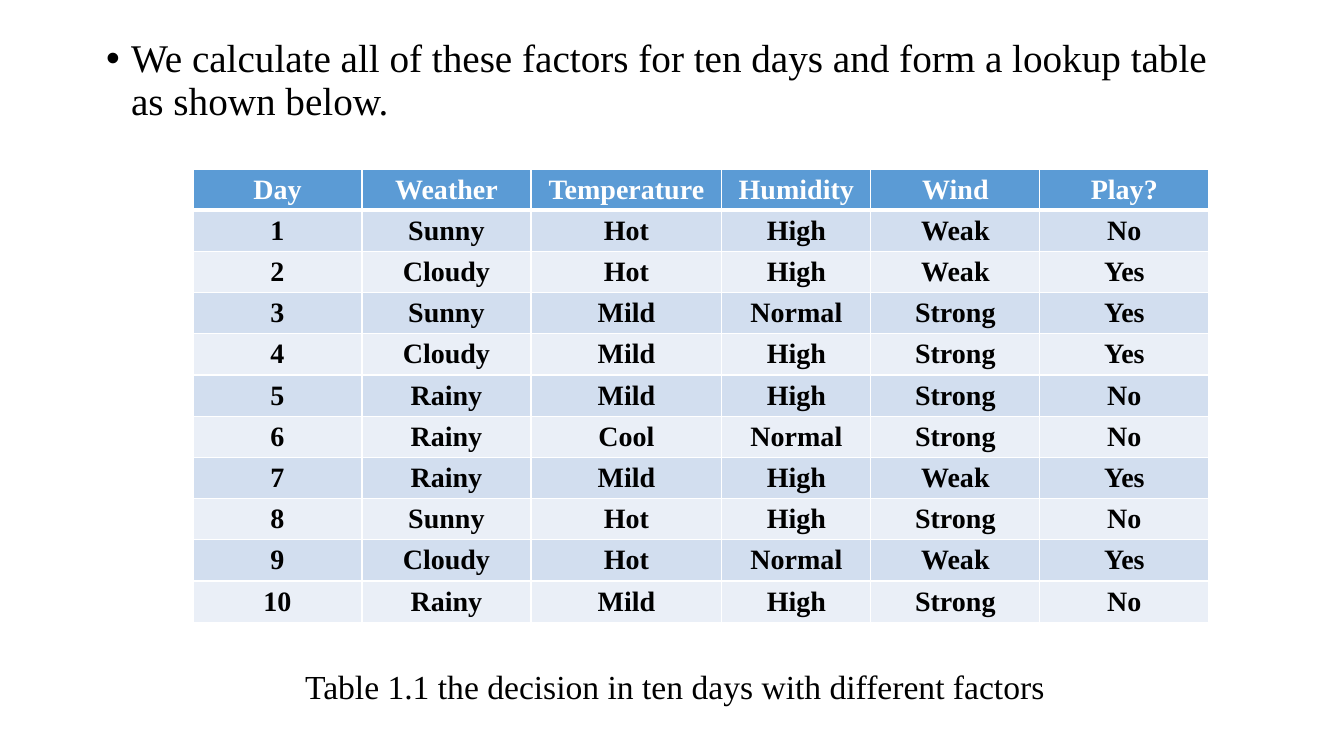
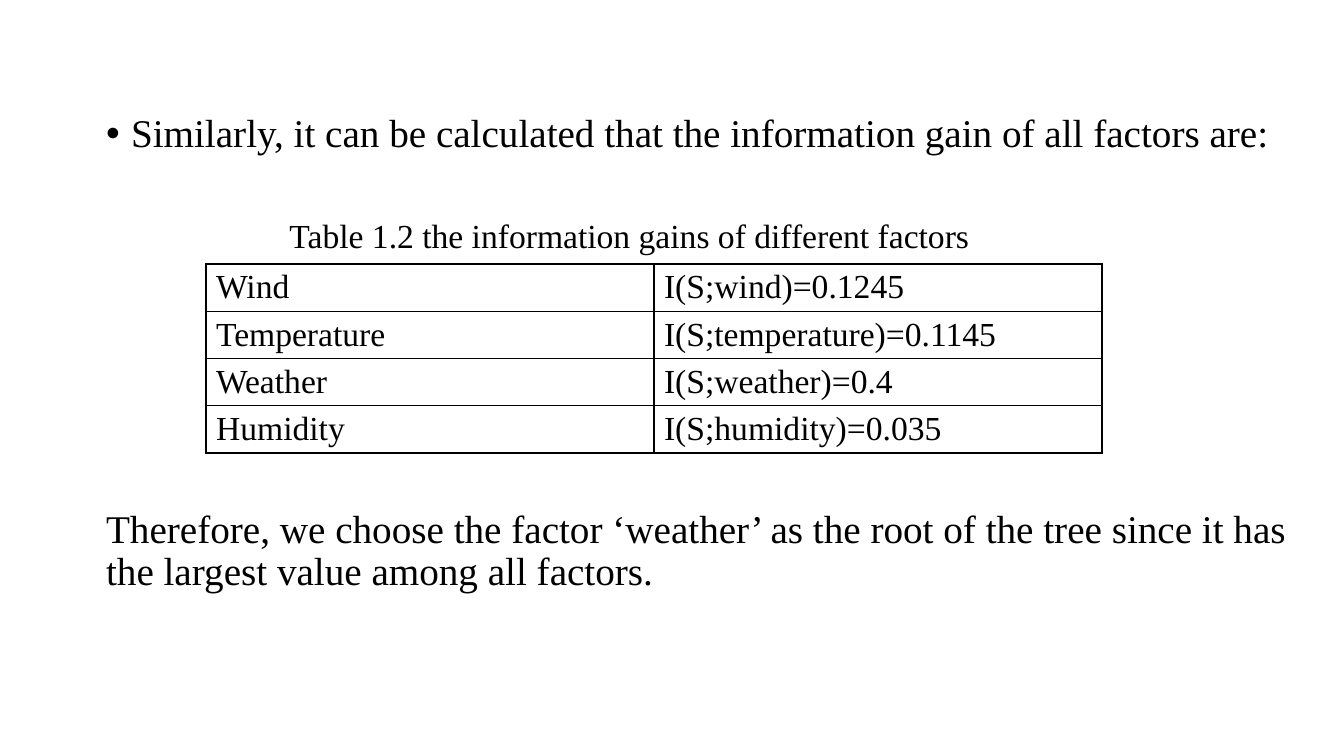
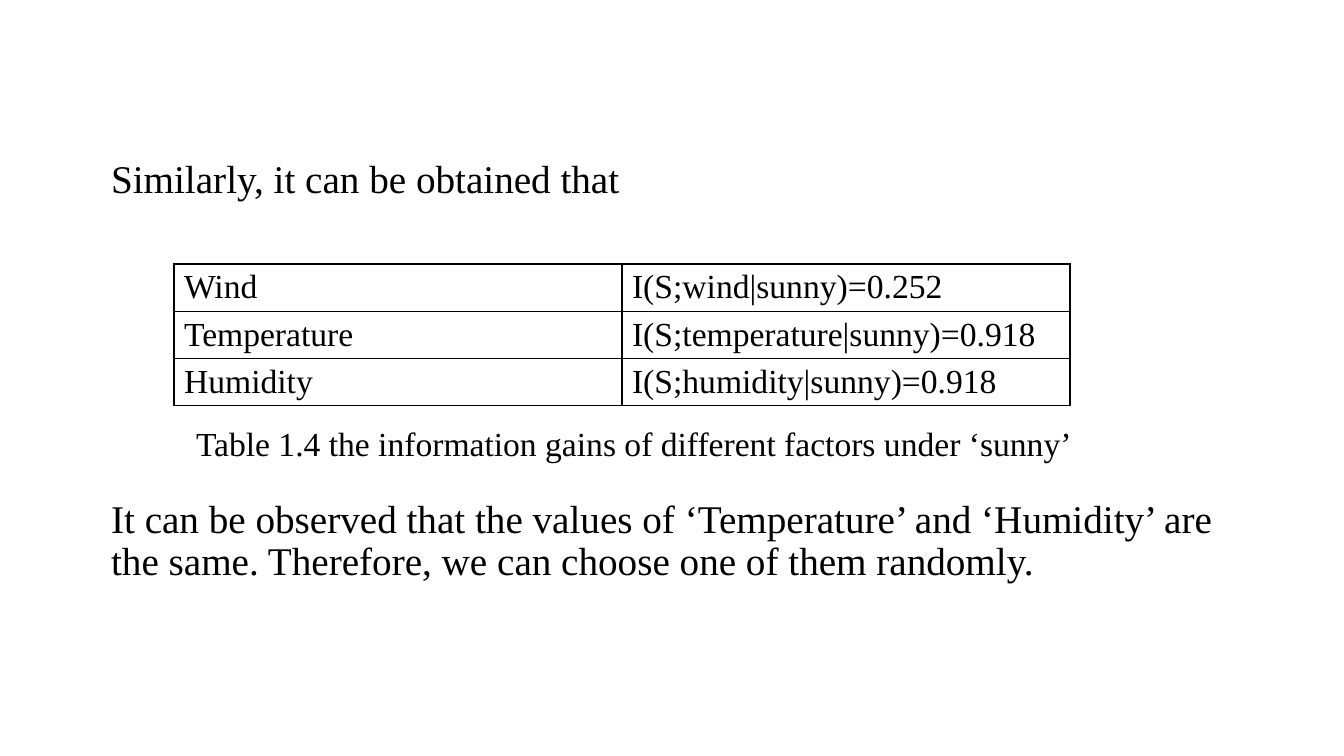
from dataclasses import dataclass

from lxml import etree
from pptx import Presentation
from pptx.dml.color import RGBColor
from pptx.enum import text
from pptx.oxml import ns
from pptx.util import Pt

BLACK = RGBColor(0x00, 0x00, 0x00)
WHITE = RGBColor(0xFF, 0xFF, 0xFF)
BLUE = RGBColor(0x5B, 0x9B, 0xD5)
BANDS = (RGBColor(0xEA, 0xEF, 0xF7), RGBColor(0xD2, 0xDE, 0xEF))
FONT = "Times New Roman"
SCALE = 914400 / 100.8
INDENT = 25


@dataclass(frozen=True)
class Box:
    left: int
    top: int
    width: int
    height: int


@dataclass(frozen=True)
class Para:
    words: str
    bullet: bool = False
    before: float = 10


@dataclass(frozen=True)
class Body:
    box: Box
    paras: tuple[Para, ...]
    inset: int = 5


@dataclass(frozen=True)
class Label:
    box: Box
    words: str


@dataclass(frozen=True)
class Grid:
    left: int
    top: int
    cols: tuple[int, ...]
    high: int
    rows: tuple[str, ...]
    size: int = 24
    banded: bool = False


@dataclass(frozen=True)
class Page:
    body: Body
    grid: Grid
    label: Label


def px(count: int) -> int:
    return round(count * SCALE)


def area(box: Box) -> tuple[int, ...]:
    return px(box.left), px(box.top), px(box.width), px(box.height)


def style(para, size: int, color: RGBColor = BLACK, bold: bool = False) -> None:
    font = para.font
    font.name, font.size, font.bold = FONT, Pt(size), bold
    font.color.rgb = color


def mark(para, bullet: bool) -> None:
    props = para._p.get_or_add_pPr()
    shift = px(INDENT) if bullet else 0
    props.set("marL", str(shift))
    props.set("indent", str(-shift))
    if bullet:
        etree.SubElement(props, ns.qn("a:buFont"), typeface="Arial")
        etree.SubElement(props, ns.qn("a:buChar"), char="•")
    else:
        etree.SubElement(props, ns.qn("a:buNone"))


def edge(cell, color: RGBColor, base: int) -> None:
    props = cell._tc.get_or_add_tcPr()
    for spot, side in enumerate("LRTB"):
        width = base if side == "B" else 1
        line = etree.Element(ns.qn(f"a:ln{side}"), w=str(Pt(width)))
        fill = etree.SubElement(line, ns.qn("a:solidFill"))
        etree.SubElement(fill, ns.qn("a:srgbClr"), val=str(color))
        props.insert(spot, line)


def add_body(slide, body: Body) -> None:
    slide.shapes.title.element.getparent().remove(slide.shapes.title.element)
    holder = slide.placeholders[1]
    holder.left, holder.top, holder.width, holder.height = area(body.box)
    frame = holder.text_frame
    frame.auto_size = text.MSO_AUTO_SIZE.NONE
    frame.vertical_anchor = text.MSO_ANCHOR.TOP
    frame.margin_top = px(body.inset)
    for spot, item in enumerate(body.paras):
        para = frame.add_paragraph() if spot else frame.paragraphs[0]
        para.text = item.words
        para.line_spacing = 0.9
        para.space_before = Pt(item.before)
        mark(para, item.bullet)
        style(para, 28)


def add_label(slide, label: Label) -> None:
    frame = slide.shapes.add_textbox(*area(label.box)).text_frame
    frame.word_wrap = True
    para = frame.paragraphs[0]
    para.text = label.words
    para.alignment = text.PP_ALIGN.CENTER
    style(para, 24)


def add_grid(slide, grid: Grid) -> None:
    count = len(grid.rows)
    box = Box(grid.left, grid.top, sum(grid.cols), grid.high * count)
    table = slide.shapes.add_table(count, len(grid.cols), *area(box)).table
    table.first_row = table.horz_banding = grid.banded
    for col, width in zip(table.columns, grid.cols):
        col.width = px(width)
    for row, line in enumerate(grid.rows):
        table.rows[row].height = px(grid.high)
        head = grid.banded and row == 0
        for col, words in enumerate(line.split()):
            cell = table.cell(row, col)
            cell.text = words
            para = cell.text_frame.paragraphs[0]
            style(para, grid.size, WHITE if head else BLACK, grid.banded)
            if grid.banded:
                para.alignment = text.PP_ALIGN.CENTER
                cell.fill.solid()
                cell.fill.fore_color.rgb = BLUE if head else BANDS[row % 2]
            else:
                cell.fill.background()
            edge(cell, WHITE if grid.banded else BLACK, 3 if head else 1)


PAGES = (
    Page(
        Body(Box(96, 34, 1159, 142), (
            Para("We calculate all of these factors for ten days and form "
                 "a lookup table as shown below.", bullet=True),
        )),
        Grid(193, 169, (169, 169, 191, 149, 169, 169), 41, (
            "Day Weather Temperature Humidity Wind Play?",
            "1 Sunny Hot High Weak No",
            "2 Cloudy Hot High Weak Yes",
            "3 Sunny Mild Normal Strong Yes",
            "4 Cloudy Mild High Strong Yes",
            "5 Rainy Mild High Strong No",
            "6 Rainy Cool Normal Strong No",
            "7 Rainy Mild High Weak Yes",
            "8 Sunny Hot High Strong No",
            "9 Cloudy Hot Normal Weak Yes",
            "10 Rainy Mild High Strong No",
        ), size=20, banded=True),
        Label(Box(281, 661, 788, 50),
              "Table 1.1 the decision in ten days with different factors"),
    ),
    Page(
        Body(Box(96, 48, 1231, 571), (
            Para("Similarly, it can be calculated that the information gain "
                 "of all factors are:", bullet=True),
            Para("Therefore, we choose the factor ‘weather’ as the root of "
                 "the tree since it has the largest value among all factors.",
                 before=252),
        ), inset=66),
        Grid(206, 264, (448, 448), 47, (
            "Wind I(S;wind)=0.1245",
            "Temperature I(S;temperature)=0.1145",
            "Weather I(S;weather)=0.4",
            "Humidity I(S;humidity)=0.035",
        )),
        Label(Box(135, 210, 989, 50),
              "Table 1.2 the information gains of different factors"),
    ),
    Page(
        Body(Box(101, 38, 1159, 633), (
            Para("Similarly, it can be obtained that"),
            Para("It can be observed that the values of ‘Temperature’ and "
                 "‘Humidity’ are the same. Therefore, we can choose one of "
                 "them randomly.", before=212),
        ), inset=122),
        Grid(174, 264, (448, 448), 47, (
            "Wind I(S;wind|sunny)=0.252",
            "Temperature I(S;temperature|sunny)=0.918",
            "Humidity I(S;humidity|sunny)=0.918",
        )),
        Label(Box(72, 418, 1124, 50),
              "Table 1.4 the information gains of different factors "
              "under ‘sunny’"),
    ),
)


def main() -> None:
    deck = Presentation()
    deck.slide_width, deck.slide_height = px(1344), px(756)
    for page in PAGES:
        slide = deck.slides.add_slide(deck.slide_layouts[1])
        add_body(slide, page.body)
        add_grid(slide, page.grid)
        add_label(slide, page.label)
    deck.save("out.pptx")


main()
